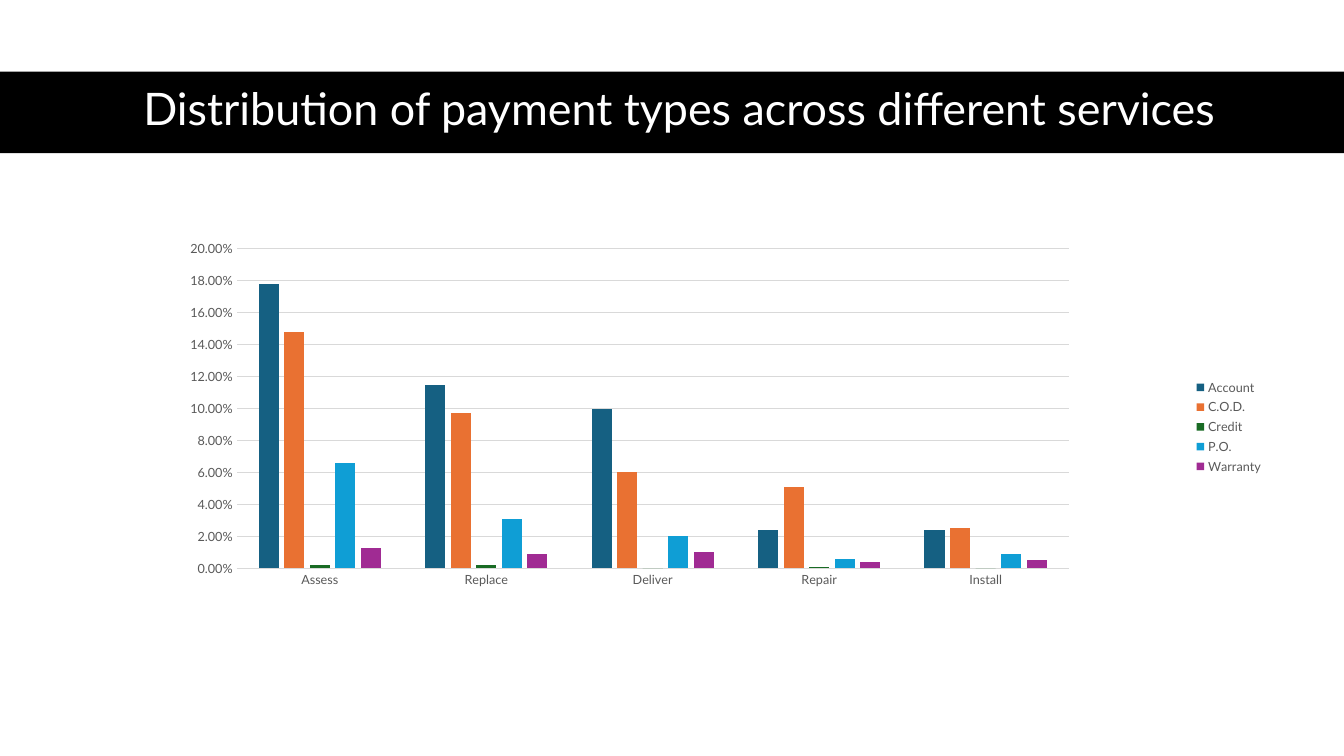
from lxml import etree
from pptx import Presentation
from pptx.chart.data import CategoryChartData
from pptx.dml.color import RGBColor
from pptx.enum.chart import XL_CHART_TYPE, XL_LEGEND_POSITION, XL_TICK_MARK
from pptx.enum.shapes import MSO_SHAPE
from pptx.enum.text import MSO_ANCHOR, MSO_AUTO_SIZE, PP_ALIGN
from pptx.oxml.ns import qn
from pptx.util import Inches, Pt

FACE = "Lato"
COLORS = {
    "band": "000000",
    "title": "FFFFFF",
    "label": "595959",
    "grid": "D9D9D9",
    "Account": "156082",
    "C.O.D.": "E97132",
    "Credit": "196B24",
    "P.O.": "0F9ED5",
    "Warranty": "A02B93",
}
SERVICES = ["Assess", "Replace", "Deliver", "Repair", "Install"]
SHARES = {
    "Account": [0.178, 0.115, 0.1, 0.024, 0.024],
    "C.O.D.": [0.148, 0.097, 0.06, 0.051, 0.025],
    "Credit": [0.002, 0.002, 0, 0.001, 0],
    "P.O.": [0.066, 0.031, 0.02, 0.006, 0.009],
    "Warranty": [0.013, 0.009, 0.01, 0.004, 0.005],
}
PLOT = {"x": 0.138, "y": 0.133, "w": 0.692, "h": 0.659}


def set_font(font, size, color):
    font.name = FACE
    font.size = Pt(size)
    font.color.rgb = RGBColor.from_string(COLORS[color])


def write(frame, text, size, color, align, spacing, after):
    frame.word_wrap = True
    frame.auto_size = MSO_AUTO_SIZE.NONE
    frame.vertical_anchor = MSO_ANCHOR.MIDDLE
    para = frame.paragraphs[0]
    para.alignment = align
    para.line_spacing = spacing
    para.space_after = Pt(after)
    run = para.add_run()
    run.text = text
    set_font(run.font, size, color)


deck = Presentation()
deck.slide_width = Inches(13.33)
deck.slide_height = Inches(7.5)
slide = deck.slides.add_slide(deck.slide_layouts[5])

# Title on a black band
title = slide.shapes.title
title.left, title.top = Inches(0.61), Inches(0.7)
title.width, title.height = Inches(12.26), Inches(0.81)
write(title.text_frame, "Distribution of payment types across different services",
      size=32, color="title", align=PP_ALIGN.CENTER, spacing=0.9, after=6)

band = slide.shapes.add_shape(
    MSO_SHAPE.RECTANGLE, 0, Inches(0.71), deck.slide_width, Inches(0.81))
band.shadow.inherit = False
band.fill.solid()
band.fill.fore_color.rgb = RGBColor.from_string(COLORS["band"])
band.line.fill.background()
title.element.addprevious(band.element)

# Chart
data = CategoryChartData(number_format="0.00%")
data.categories = SERVICES
for name, values in SHARES.items():
    data.add_series(name, values)
chart = slide.shapes.add_chart(
    XL_CHART_TYPE.COLUMN_CLUSTERED, Inches(0.7), Inches(1.83),
    Inches(11.93), Inches(4.81), data).chart
chart.has_title = False
set_font(chart.font, 10, "band")

plot = chart.plots[0]
plot.vary_by_categories = False
plot.gap_width = 219
plot.overlap = -27
for series in plot.series:
    series.invert_if_negative = False
    series.format.fill.solid()
    series.format.fill.fore_color.rgb = RGBColor.from_string(COLORS[series.name])

# Axes
for axis in (chart.category_axis, chart.value_axis):
    axis.major_tick_mark = XL_TICK_MARK.NONE
    axis.minor_tick_mark = XL_TICK_MARK.NONE
    set_font(axis.tick_labels.font, 9, "label")
shares = chart.value_axis
shares.minimum_scale, shares.maximum_scale, shares.major_unit = 0, 0.2, 0.02
shares.tick_labels.number_format = "0.00%"
shares.tick_labels.number_format_is_linked = False
shares.format.line.fill.background()
for line in (chart.category_axis.format.line, shares.major_gridlines.format.line):
    line.color.rgb = RGBColor.from_string(COLORS["grid"])
    line.width = Pt(0.75)

# Legend
chart.has_legend = True
chart.legend.position = XL_LEGEND_POSITION.RIGHT
chart.legend.include_in_layout = False
set_font(chart.legend.font, 9, "label")

# Fixed inner plot area
area = chart.element.find(".//" + qn("c:plotArea"))
for old in area.findall(qn("c:layout")):
    area.remove(old)
layout = etree.Element(qn("c:layout"))
area.insert(0, layout)
manual = etree.SubElement(layout, qn("c:manualLayout"))
rules = {"layoutTarget": "inner", "xMode": "edge", "yMode": "edge", **PLOT}
for tag, value in rules.items():
    etree.SubElement(manual, qn("c:" + tag)).set("val", str(value))

deck.save("out.pptx")
